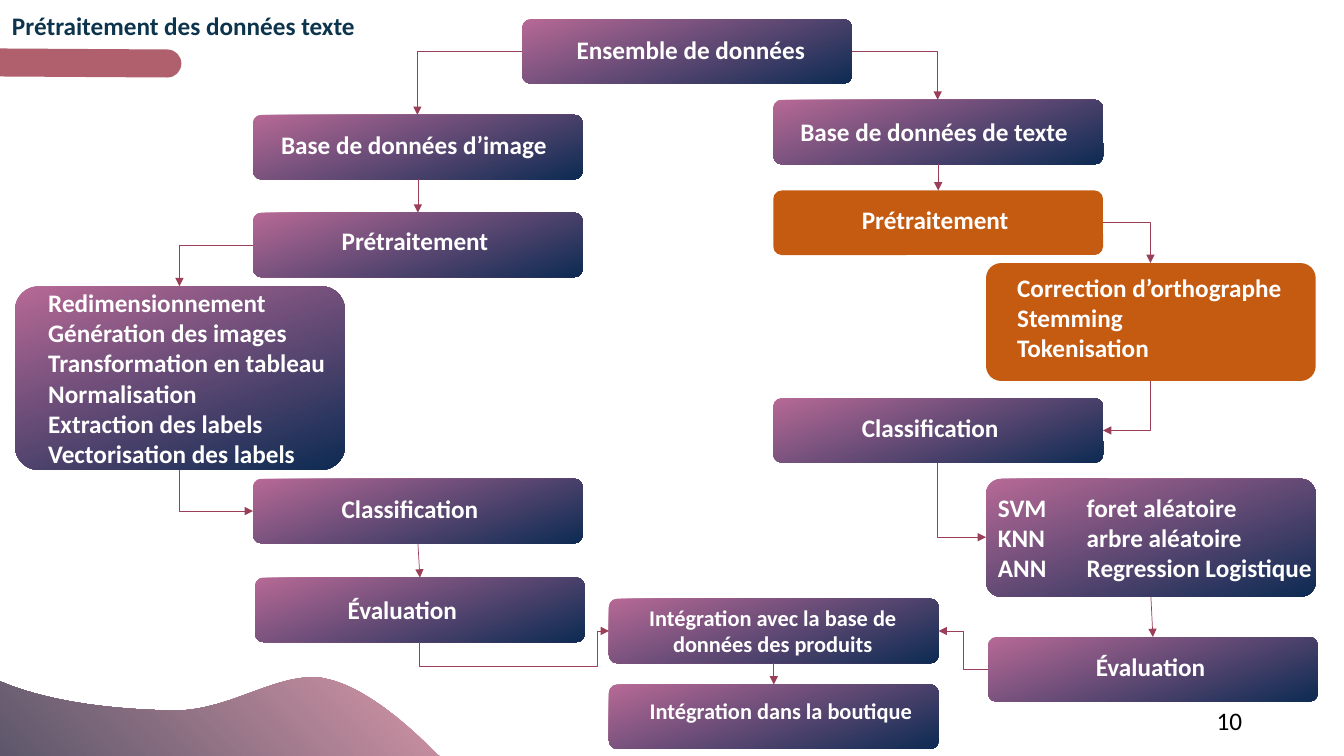
"""Build the data preprocessing flowchart slide."""
from dataclasses import dataclass

import lxml.etree
import pptx
import pptx.dml.color
import pptx.enum.shapes
import pptx.enum.text
import pptx.oxml.ns
import pptx.util

PX = 9144
TOP, LEFT, BOTTOM, RIGHT = range(4)
ALIGN = pptx.enum.text.PP_ALIGN
qn = pptx.oxml.ns.qn


@dataclass(frozen=True)
class Theme:
    font: str = "Calibri"
    body: int = 18
    small: int = 16
    white: str = "FFFFFF"
    black: str = "000000"
    title: str = "0C344C"
    box: tuple[str, str] = ("B76996", "0D2B53")
    wave: tuple[str, str] = ("D496A7", "5D576B")
    active: str = "C55A11"
    arrow: str = "9B3F59"
    bar: str = "B05F6C"
    arrow_width: float = 0.5
    bar_width: int = 20


@dataclass(frozen=True)
class Box:
    x: int
    y: int
    text: str
    tx: int
    ty: int
    h: int = 64
    tw: int = 293
    th: int = 40
    w: int = 327
    active: bool = False
    size: int = Theme.body
    align: ALIGN = ALIGN.LEFT
    tab: int = 0

    def side(self, i: int) -> tuple[int, int]:
        """Return the middle of one side."""
        cx, cy = self.x + self.w // 2, self.y + self.h // 2
        return ((cx, self.y), (self.x, cy), (cx, self.y + self.h), (self.x + self.w, cy))[i]


@dataclass(frozen=True)
class Link:
    start: str
    out: int
    end: str
    into: int
    bends: int = 0
    adj: tuple[int, ...] = ()


THEME = Theme()
BOXES = {
    "data": Box(518, 19, "Ensemble de données", 562, 29),
    "text": Box(767, 99, "Base de données de texte", 784, 110),
    "image": Box(251, 114, "Base de données d’image", 269, 123),
    "text_prep": Box(767, 189, "Prétraitement", 845, 198, active=True),
    "image_prep": Box(251, 211, "Prétraitement", 329, 219),
    "text_steps": Box(978, 261, "Correction d’orthographe\nStemming\nTokenisation",
                      999, 265, h=117, th=101, active=True),
    "image_steps": Box(15, 284, "Redimensionnement\nGénération des images\n"
                       "Transformation en tableau\nNormalisation\n"
                       "Extraction des labels\nVectorisation des labels",
                       38, 280, h=182, tw=326, th=192),
    "text_class": Box(767, 395, "Classification", 845, 404),
    "models": Box(978, 475, "SVM\tforet aléatoire\nKNN\tarbre aléatoire\n"
                  "ANN\tRegression Logistique", 980, 483, h=117, tw=334, th=101, tab=88),
    "products": Box(604, 594, "Intégration avec la base de données des produits",
                    620, 594, th=64, size=THEME.small, align=ALIGN.CENTER),
    "shop": Box(604, 679, "Intégration dans la boutique", 628, 687, th=37,
                size=THEME.small, align=ALIGN.CENTER),
    "image_class": Box(251, 475, "Classification", 329, 484),
    "image_eval": Box(253, 573, "Évaluation", 335, 585),
    "text_eval": Box(980, 632, "Évaluation", 1077, 641),
}
LINKS = [
    Link("data", LEFT, "image", TOP, 2),
    Link("data", RIGHT, "text", TOP, 2),
    Link("text", BOTTOM, "text_prep", TOP),
    Link("image", BOTTOM, "image_prep", TOP),
    Link("text_prep", RIGHT, "text_steps", TOP, 2),
    Link("image_prep", LEFT, "image_steps", TOP, 2),
    Link("image_steps", BOTTOM, "image_class", LEFT, 2),
    Link("image_class", BOTTOM, "image_eval", TOP),
    Link("text_steps", BOTTOM, "text_class", RIGHT, 2),
    Link("text_class", BOTTOM, "models", LEFT, 2),
    Link("image_eval", BOTTOM, "products", LEFT, 4, (-216200, 93700)),
    Link("products", BOTTOM, "shop", TOP),
    Link("models", BOTTOM, "text_eval", TOP),
    Link("text_eval", LEFT, "products", RIGHT, 3),
]
WAVE_START = (313, 672)
WAVE_CURVES = [
    [(315, 672), (318, 672), (321, 673)],
    [(364, 680), (415, 729), (434, 749)],
    [(436, 750), (0, 750), (0, 676)],
    [(55, 699), (123, 704), (173, 705)],
    [(226, 705), (271, 670), (313, 672)],
]


def rgb(color: str) -> pptx.dml.color.RGBColor:
    """Turn a hex string into a colour."""
    return pptx.dml.color.RGBColor.from_string(color)


def paint(sp, color: str | tuple[str, str], angle: int = 290) -> None:
    """Fill a shape with one colour or a gradient, without line or shadow."""
    sp.shadow.inherit = False
    sp.line.fill.background()
    if isinstance(color, str):
        sp.fill.solid()
        sp.fill.fore_color.rgb = rgb(color)
        return
    sp.fill.gradient()
    sp.fill.gradient_angle = angle
    for stop, part in zip(sp.fill.gradient_stops, color):
        stop.color.rgb = rgb(part)


def write(sp, text: str, *, color: str = THEME.white, size: int = THEME.body,
          bold: bool = True, align: ALIGN = ALIGN.LEFT, tab: int = 0,
          anchor=pptx.enum.text.MSO_ANCHOR.TOP) -> None:
    """Write formatted paragraphs into a shape."""
    tf = sp.text_frame
    tf.word_wrap = True
    tf.auto_size = pptx.enum.text.MSO_AUTO_SIZE.NONE
    tf.vertical_anchor = anchor
    tf.text = text
    for p in tf.paragraphs:
        p.alignment = align
        if tab:
            tabs = lxml.etree.SubElement(p._p.get_or_add_pPr(), qn("a:tabLst"))
            lxml.etree.SubElement(tabs, qn("a:tab"), pos=str(tab * PX), algn="l")
        for r in p.runs:
            r.font.name, r.font.size, r.font.bold = THEME.font, pptx.util.Pt(size), bold
            r.font.color.rgb = rgb(color)


def add_box(s, box: Box):
    """Draw a flowchart box and its label."""
    kind = pptx.enum.shapes.MSO_SHAPE.ROUNDED_RECTANGLE
    sp = s.shapes.add_shape(kind, *(v * PX for v in (box.x, box.y, box.w, box.h)))
    sp.adjustments[0] = 0.128
    paint(sp, THEME.active if box.active else THEME.box)
    label = s.shapes.add_textbox(*(v * PX for v in (box.tx, box.ty, box.tw, box.th)))
    write(label, box.text, size=box.size, align=box.align, tab=box.tab)
    return sp


def add_line(s, start: tuple[int, int], end: tuple[int, int], color: str, width: float,
             elbow: bool = False):
    """Draw a connector without shadow."""
    kinds = pptx.enum.shapes.MSO_CONNECTOR
    cn = s.shapes.add_connector(kinds.ELBOW if elbow else kinds.STRAIGHT,
                                *(v * PX for v in start + end))
    cn.line.color.rgb = rgb(color)
    cn.line.width = pptx.util.Pt(width)
    lxml.etree.SubElement(cn._element.spPr, qn("a:effectLst"))
    return cn


def add_link(s, link: Link, shapes: dict) -> None:
    """Draw an arrow between two boxes."""
    x1, y1 = BOXES[link.start].side(link.out)
    x2, y2 = BOXES[link.end].side(link.into)
    cn = add_line(s, (x1, y1), (x2, y2), THEME.arrow, THEME.arrow_width, link.bends > 0)
    lxml.etree.SubElement(cn.line._get_or_add_ln(), qn("a:tailEnd"), type="triangle")
    if not link.bends:
        cn.begin_connect(shapes[link.start], link.out)
        cn.end_connect(shapes[link.end], link.into)
        return
    geom = cn._element.spPr.find(qn("a:prstGeom"))
    geom.set("prst", f"bentConnector{link.bends}")
    for i, value in enumerate(link.adj, 1):
        lxml.etree.SubElement(geom.find(qn("a:avLst")), qn("a:gd"),
                              name=f"adj{i}", fmla=f"val {value}")
    if link.out == BOTTOM:
        w, h = abs(y2 - y1), abs(x2 - x1)
        cn.left, cn.top = (x1 + x2 - w) * PX // 2, (y1 + y2 - h) * PX // 2
        cn.width, cn.height = w * PX, h * PX
        xfrm = cn._element.spPr.find(qn("a:xfrm"))
        xfrm.set("rot", "5400000")
        xfrm.set("flipH", str(int(y2 < y1)))
        xfrm.set("flipV", str(int(x2 > x1)))


def add_wave(s) -> None:
    """Draw the corner wave from sampled cubic curves."""
    points, last = [], WAVE_START
    for curve in WAVE_CURVES:
        if curve[1] == (0, 750):
            points += curve
        else:
            for t in (i / 24 for i in range(1, 25)):
                weights = ((1 - t) ** 3, 3 * t * (1 - t) ** 2, 3 * t * t * (1 - t), t ** 3)
                points.append(tuple(sum(k * q[a] for k, q in zip(weights, [last, *curve]))
                                    for a in (0, 1)))
        last = curve[-1]
    fb = s.shapes.build_freeform(*(v * PX for v in WAVE_START))
    fb.add_line_segments([(round(x * PX), round(y * PX)) for x, y in points])
    paint(fb.convert_to_shape(), THEME.wave, 225)


def main() -> None:
    """Build and save the slide."""
    prs = pptx.Presentation()
    prs.slide_width, prs.slide_height = 1333 * PX, 750 * PX
    s = prs.slides.add_slide(prs.slide_layouts[5])
    title = s.shapes.title
    title.left, title.top, title.width, title.height = (v * PX for v in (-78, 5, 520, 40))
    write(title, "Prétraitement des données texte", color=THEME.title, align=ALIGN.CENTER)
    add_wave(s)
    shapes = {name: add_box(s, box) for name, box in BOXES.items()}
    for link in LINKS:
        add_link(s, link, shapes)
    bar = add_line(s, (0, 62), (166, 63), THEME.bar, THEME.bar_width)
    bar.line._get_or_add_ln().set("cap", "rnd")
    number = s.shapes.add_textbox(*(v * PX for v in (942, 695, 300, 40)))
    write(number, "10", color=THEME.black, bold=False, align=ALIGN.RIGHT,
          anchor=pptx.enum.text.MSO_ANCHOR.MIDDLE)
    prs.save("out.pptx")


if __name__ == "__main__":
    main()
